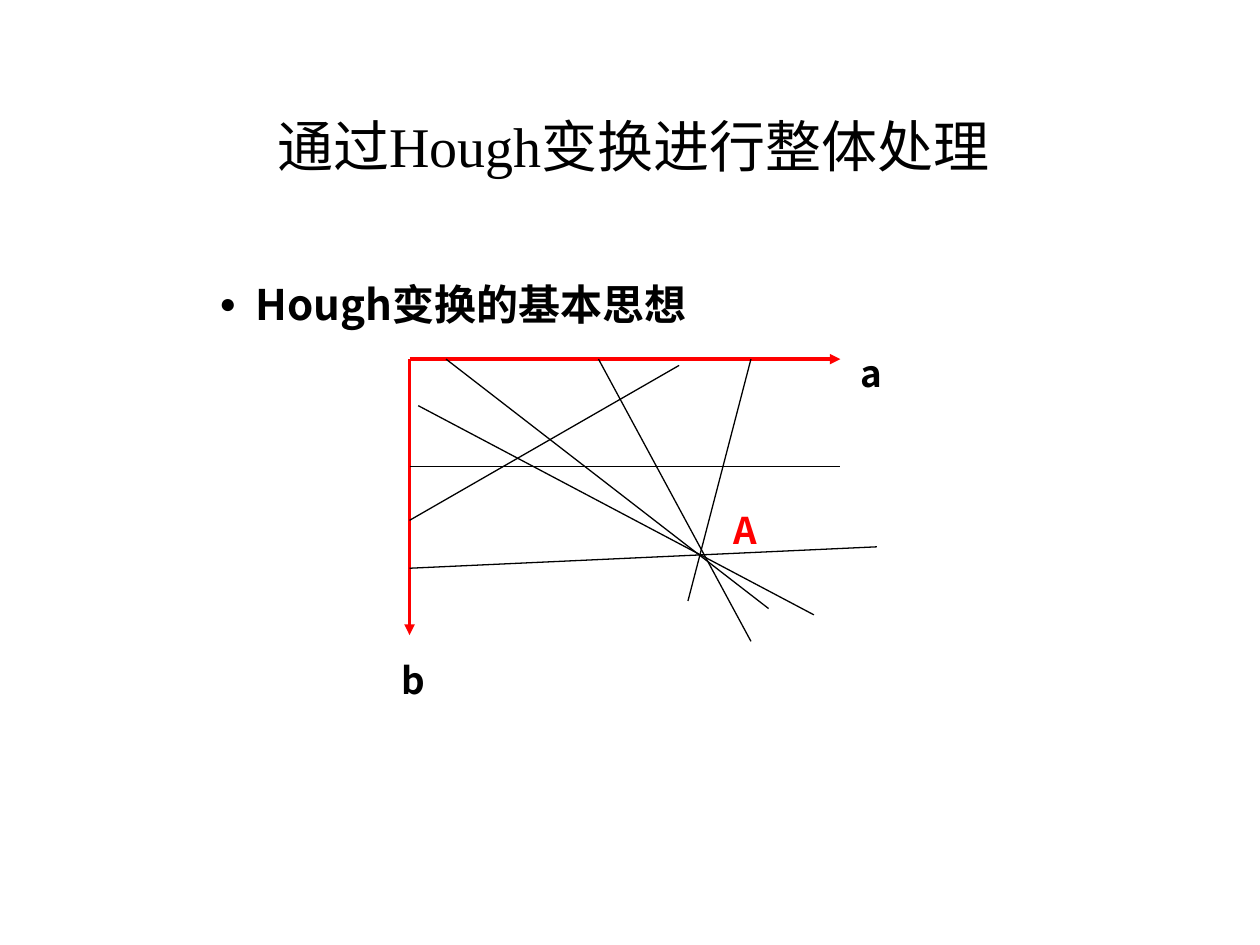
from dataclasses import dataclass

import pptx
import pptx.dml.color
import pptx.enum.shapes
import pptx.enum.text
import pptx.oxml.ns
import pptx.util
from lxml import etree

Inches = pptx.util.Inches
Pt = pptx.util.Pt
Align = pptx.enum.text.PP_ALIGN
Anchor = pptx.enum.text.MSO_ANCHOR


@dataclass(frozen=True)
class Theme:
    black: str = "000000"
    red: str = "FF0000"
    sans: str = "Noto Sans CJK SC"
    serif: str = "Times New Roman"
    bullet_font: str = "Arial"
    title_size: float = 32
    body_size: float = 24
    label_size: float = 21
    label_spacing: float = 24.6
    axis_width: float = 2
    line_width: float = 0.75


THEME = Theme()

PARAMETER_LINES = [
    ((0.29, 0), (2.85, 1.98)),
    ((0, 0.85), (3.42, 0.85)),
    ((1.5, 0), (2.71, 2.24)),
    ((0, 1.66), (3.71, 1.49)),
    ((2.14, 0.05), (0, 1.28)),
    ((2.71, 0), (2.21, 1.92)),
    ((0.07, 0.37), (3.21, 2.03)),
]


def add_child(parent, tag, **attributes):
    return etree.SubElement(parent, pptx.oxml.ns.qn(tag), attributes)


def add_text(slide, box, text, size, latin=THEME.sans, color=THEME.black,
             bold=False, align=Align.LEFT, anchor=Anchor.TOP, bullet=False):
    shape = slide.shapes.add_textbox(*(Inches(length) for length in box))
    frame = shape.text_frame
    frame.word_wrap = True
    frame.vertical_anchor = anchor
    frame.margin_left = frame.margin_right = 0
    frame.margin_top = frame.margin_bottom = 0
    paragraph = frame.paragraphs[0]
    paragraph.text = text
    paragraph.alignment = align
    if bullet:
        properties = paragraph._p.get_or_add_pPr()
        indent = Inches(0.29)
        properties.set("marL", str(indent))
        properties.set("indent", str(-indent))
        add_child(properties, "a:buSzPct", val="67000")
        add_child(properties, "a:buFont", typeface=THEME.bullet_font)
        add_child(properties, "a:buChar", char="●")
    font = paragraph.font
    font.size = Pt(size)
    font.bold = bold
    font.name = latin
    font.color.rgb = pptx.dml.color.RGBColor.from_string(color)
    add_child(font._element, "a:ea", typeface=THEME.sans)
    return shape


def add_line(slide, start, end, color, width, arrow=False):
    connector = slide.shapes.add_connector(
        pptx.enum.shapes.MSO_CONNECTOR.STRAIGHT,
        *(Inches(length) for length in (*start, *end)))
    connector.line.color.rgb = pptx.dml.color.RGBColor.from_string(color)
    connector.line.width = Pt(width)
    if arrow:
        add_child(connector.line._get_or_add_ln(), "a:tailEnd", type="triangle")
    add_child(connector._element.spPr, "a:effectLst")


def add_title(slide, box):
    shape = add_text(slide, box, "通过Hough变换进行整体处理", THEME.title_size,
                     latin=THEME.serif, align=Align.CENTER, anchor=Anchor.MIDDLE)
    shape.text_frame.margin_top = Inches(0.29)


def add_topic(slide, box):
    add_text(slide, box, "Hough变换的基本思想", THEME.body_size, bold=True, bullet=True)


def add_parameter_space(slide, box):
    left, top, width, height = box

    def place(point):
        return left + point[0], top + point[1]

    for end in ((width, 0), (0, height)):
        add_line(slide, place((0, 0)), place(end), THEME.red, THEME.axis_width, arrow=True)
    for start, end in PARAMETER_LINES:
        add_line(slide, place(start), place(end), THEME.black, THEME.line_width)
    labels = [
        ("a", (width + 0.16, -0.06), THEME.black),
        ("b", (-0.06, height + 0.19), THEME.black),
        ("A", (2.57, 1.19), THEME.red),
    ]
    for text, point, color in labels:
        shape = add_text(slide, (*place(point), 0.3, 0.34), text,
                         THEME.label_size, color=color, bold=True)
        shape.text_frame.paragraphs[0].line_spacing = Pt(THEME.label_spacing)


def main():
    presentation = pptx.Presentation()
    presentation.slide_width = Inches(10)
    presentation.slide_height = Inches(7.5)
    slide = presentation.slides.add_slide(presentation.slide_layouts[6])
    add_title(slide, (0.53, 0.59, 9, 0.83))
    add_topic(slide, (1.74, 2.21, 5.28, 0.48))
    add_parameter_space(slide, (3.25, 2.85, 3.42, 2.19))
    presentation.save("out.pptx")


if __name__ == "__main__":
    main()
